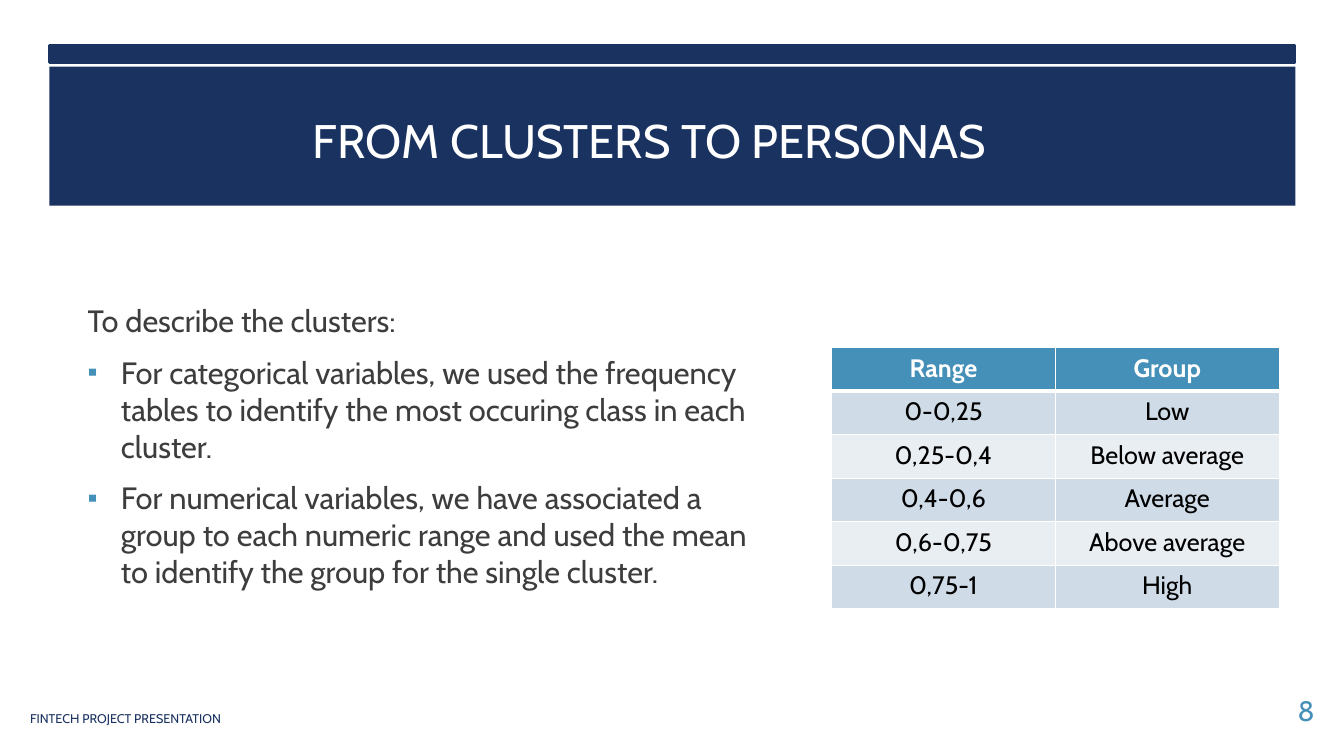
from dataclasses import dataclass

from lxml import etree
from pptx import Presentation
from pptx.dml.color import RGBColor
from pptx.enum.shapes import MSO_SHAPE
from pptx.enum.text import MSO_ANCHOR, MSO_AUTO_SIZE, PP_ALIGN
from pptx.oxml.ns import qn
from pptx.util import Inches, Pt

LEFT, CENTER, RIGHT = PP_ALIGN.LEFT, PP_ALIGN.CENTER, PP_ALIGN.RIGHT
MIDDLE = MSO_ANCHOR.MIDDLE
NO_FIT = MSO_AUTO_SIZE.NONE
RECT = MSO_SHAPE.RECTANGLE
TITLE_AND_CONTENT = 1


@dataclass(frozen=True)
class Theme:
    font: str = "Cabin"
    navy: str = "1A3260"
    accent: str = "4590B8"
    text: str = "3D3D3D"
    white: str = "FFFFFF"
    black: str = "000000"
    bands: tuple = ("CFDBE6", "E9EEF3")
    title_size: float = 33.6
    body_size: float = 22
    number_size: float = 20
    table_size: float = 18
    footer_size: float = 9


T = Theme()

# Grid of 160 columns by 90 rows
WIDTH, HEIGHT = Inches(13.33), Inches(7.5)
COL, ROW = WIDTH / 160, HEIGHT / 90

INTRO = "To describe the clusters:"
BULLETS = [
    "For categorical variables, we used the frequency tables to identify "
    "the most occuring class in each cluster.",
    "For numerical variables, we have associated a group to each numeric "
    "range and used the mean to identify the group for the single cluster.",
]
RANGES = [
    ("Range", "Group"),
    ("0-0,25", "Low"),
    ("0,25-0,4", "Below average"),
    ("0,4-0,6", "Average"),
    ("0,6-0,75", "Above average"),
    ("0,75-1", "High"),
]


def grid(x, y, w, h):
    """Turn columns and rows into slide lengths."""
    return round(x * COL), round(y * ROW), round(w * COL), round(h * ROW)


def place(shape, box):
    shape.left, shape.top, shape.width, shape.height = grid(*box)


def write(p, text, size, color, bold=False, align=LEFT, before=0, after=0):
    p.alignment = align
    p.space_before, p.space_after = Pt(before), Pt(after)
    r = p.add_run()
    r.text = text
    r.font.name, r.font.size, r.font.bold = T.font, Pt(size), bold
    r.font.color.rgb = RGBColor.from_string(color)


def set_bullet(p, char=None):
    """Give a hanging square bullet, or none at the margin."""
    pPr = p._p.get_or_add_pPr()
    indent = Inches(0.33) if char else 0
    pPr.set("marL", str(indent))
    pPr.set("indent", str(-indent))
    if char is None:
        etree.SubElement(pPr, qn("a:buNone"))
        return
    color = etree.SubElement(pPr, qn("a:buClr"))
    etree.SubElement(color, qn("a:srgbClr"), val=T.accent)
    etree.SubElement(pPr, qn("a:buSzPct"), val="92000")
    etree.SubElement(pPr, qn("a:buFont"), typeface="Arial")
    etree.SubElement(pPr, qn("a:buChar"), char=char)


def set_borders(cell, bottom=1):
    tcPr = cell._tc.get_or_add_tcPr()
    widths = {"a:lnL": 1, "a:lnR": 1, "a:lnT": 1, "a:lnB": bottom}
    for i, (side, width) in enumerate(widths.items()):
        ln = etree.Element(qn(side), w=str(Pt(width)))
        fill = etree.SubElement(ln, qn("a:solidFill"))
        etree.SubElement(fill, qn("a:srgbClr"), val=T.white)
        tcPr.insert(i, ln)


def add_bar(s, box):
    bar = s.shapes.add_shape(RECT, *grid(*box))
    bar.shadow.inherit = False
    bar.fill.solid()
    bar.fill.fore_color.rgb = RGBColor.from_string(T.navy)
    bar.line.fill.background()
    return bar


def add_banner(s, box, text):
    x, y, w, h = box
    # Thin strip above the main block
    strip = add_bar(s, (x, y, w, 2.04))
    strip.line.color.rgb = RGBColor.from_string(T.navy)
    strip.line.width = Pt(1.75)
    add_bar(s, (x, y + 2.52, w, h - 2.52))
    # Title, brought in front of the bars
    title = s.shapes.title
    place(title, (x + 3.36, y + 1.68, w - 12.12, h))
    tf = title.text_frame
    tf.vertical_anchor, tf.auto_size = MIDDLE, NO_FIT
    write(tf.paragraphs[0], text, T.title_size, T.white, align=CENTER)
    title.element.getparent().append(title.element)


def add_body(s, box):
    body = s.placeholders[1]
    place(body, box)
    tf = body.text_frame
    tf.vertical_anchor, tf.auto_size = MIDDLE, NO_FIT
    set_bullet(tf.paragraphs[0])
    write(tf.paragraphs[0], INTRO, T.body_size, T.text, after=6)
    for text in BULLETS:
        p = tf.add_paragraph()
        set_bullet(p, "▪")
        write(p, text, T.body_size, T.text, before=4.4, after=6)


def add_ranges(s, box):
    rows, cols = len(RANGES), len(RANGES[0])
    table = s.shapes.add_table(rows, cols, *grid(*box)).table
    for i, row in enumerate(RANGES):
        header = i == 0
        for j, text in enumerate(row):
            cell = table.cell(i, j)
            cell.fill.solid()
            color = T.accent if header else T.bands[(i - 1) % 2]
            cell.fill.fore_color.rgb = RGBColor.from_string(color)
            # The rule below the header is heavier on both sides of the edge
            set_borders(cell, bottom=3 if header else 1)
            write(cell.text_frame.paragraphs[0], text, T.table_size,
                  T.white if header else T.black, bold=header, align=CENTER)


def add_label(s, box, text, size, color, align=LEFT):
    tf = s.shapes.add_textbox(*grid(*box)).text_frame
    tf.word_wrap, tf.vertical_anchor = True, MIDDLE
    write(tf.paragraphs[0], text, size, color, align=align)


def main():
    prs = Presentation()
    prs.slide_width, prs.slide_height = WIDTH, HEIGHT
    s = prs.slides.add_slide(prs.slide_layouts[TITLE_AND_CONTENT])
    add_banner(s, (5.88, 5.4, 148.32, 19.08), "FROM CLUSTERS TO PERSONAS")
    add_body(s, (9.24, 29.28, 82.08, 47.64))
    add_ranges(s, (99, 41.4, 53.28, 31.08))
    # Footer
    add_label(s, (141.24, 80.76, 16.44, 7.56), "8",
              T.number_size, T.accent, align=RIGHT)
    add_label(s, (2.4, 83.52, 68.04, 3.96), "FINTECH PROJECT PRESENTATION",
              T.footer_size, T.navy)
    prs.save("out.pptx")


if __name__ == "__main__":
    main()
